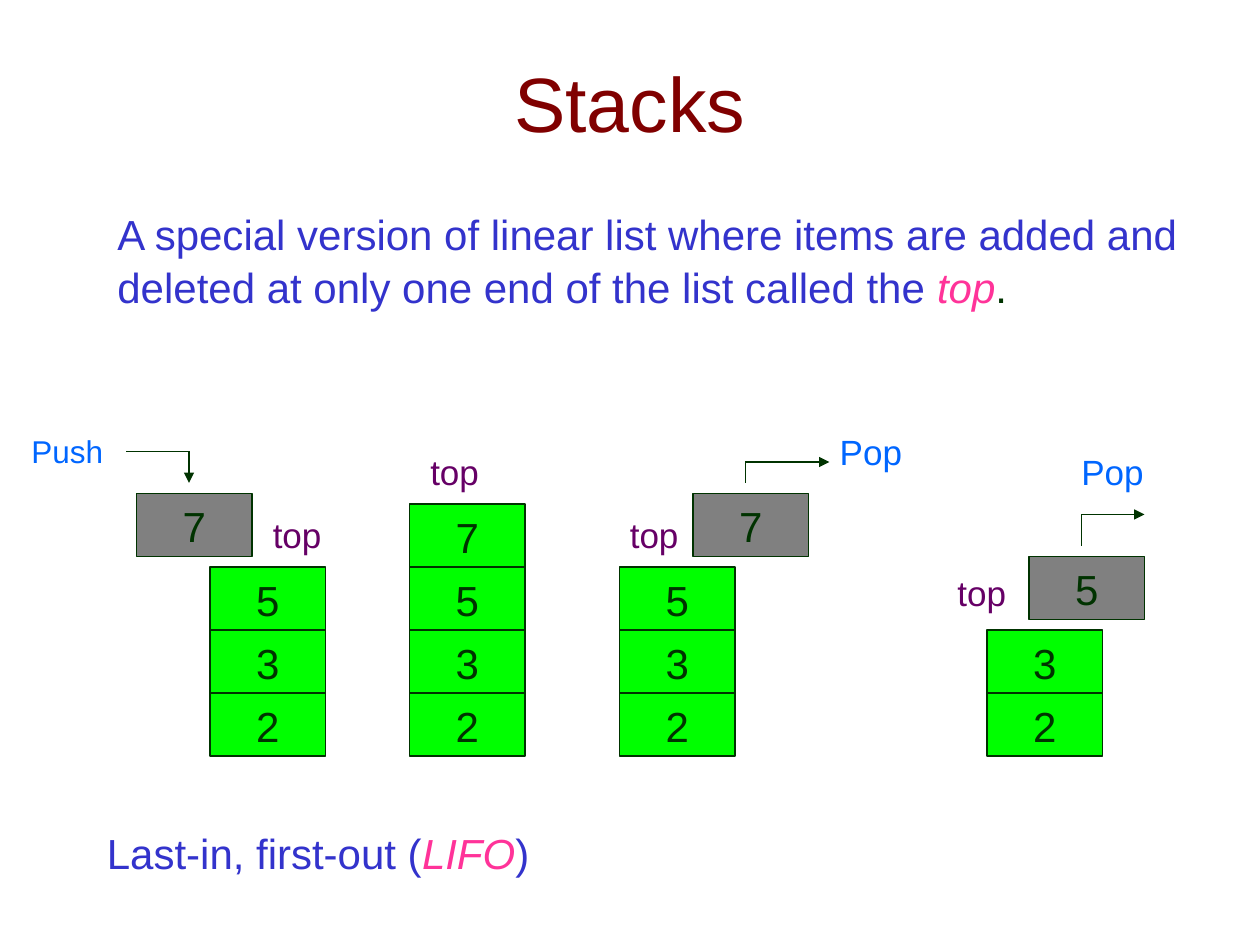
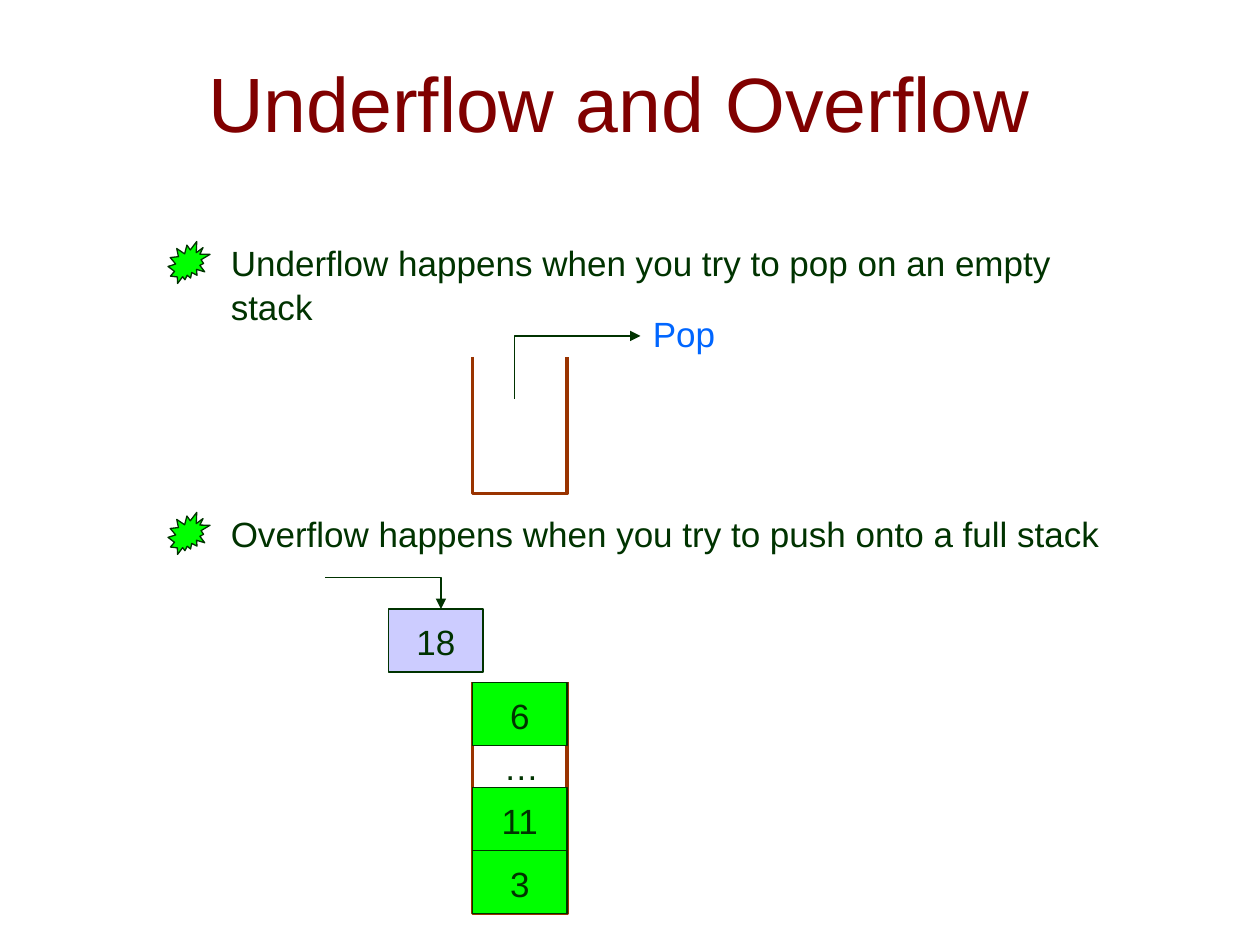
from dataclasses import dataclass

from lxml.etree import SubElement
from pptx import Presentation
from pptx.dml.color import RGBColor
from pptx.enum.shapes import MSO_CONNECTOR, MSO_SHAPE
from pptx.enum.text import MSO_ANCHOR, PP_ALIGN
from pptx.oxml.ns import qn
from pptx.util import Emu, Pt

PX = 7620  # EMU per px, 120 px to the inch
TITLE_ONLY = 5
CELL_H = 60


@dataclass(frozen=True)
class Theme:
    font: str = "Arial"
    title: str = "800000"
    statement: str = "3333CC"
    emphasis: str = "FF3399"
    ink: str = "003300"
    operation: str = "0066FF"
    top: str = "660066"
    stored: str = "00FF00"
    removed: str = "808080"
    rejected: str = "CCCCFF"
    container: str = "993300"
    title_size: int = 44
    large: int = 24
    medium: int = 20
    small: int = 18
    thin: float = 0.75
    thick: float = 2
    spacing: float = 1.05


THEME = Theme()


def rgb(value):
    return RGBColor.from_string(value)


def px(*lengths):
    return [Emu(n * PX) for n in lengths]


def format_paragraph(p, size, color, align=PP_ALIGN.LEFT):
    p.alignment = align
    p.line_spacing = THEME.spacing
    for r in p.runs:
        r.font.name, r.font.size = THEME.font, Pt(size)
        r.font.color.rgb = rgb(color)


def add_title(s, text):
    title = s.shapes.title
    title.left, title.top, title.width, title.height = px(90, 20, 1020, 150)
    tf = title.text_frame
    tf.text = text
    tf.vertical_anchor = MSO_ANCHOR.MIDDLE
    format_paragraph(tf.paragraphs[0], THEME.title_size, THEME.title, PP_ALIGN.CENTER)


def add_text(s, text, box, size=THEME.medium, color=THEME.ink, wrap=False):
    tf = s.shapes.add_textbox(*px(*box)).text_frame
    tf.word_wrap = wrap
    tf.text = text
    for p in tf.paragraphs:
        format_paragraph(p, size, color)
    return tf


def add_runs(p, *parts):
    """Continue a statement with (text, colour, italic) runs."""
    for text, color, italic in parts:
        r = p.add_run()
        r.text = text
        r.font.name, r.font.size, r.font.italic = THEME.font, Pt(THEME.large), italic
        r.font.color.rgb = rgb(color)


def add_pop(s, x, y):
    add_text(s, "Pop", (x, y, 84, 52), color=THEME.operation)


def add_top(s, x, y):
    add_text(s, "top", (x, y, 71, 52), color=THEME.top)


def add_shape(s, kind, box, fill):
    sp = s.shapes.add_shape(kind, *px(*box))
    sp.shadow.inherit = False
    sp.fill.solid()
    sp.fill.fore_color.rgb = rgb(fill)
    style_line(sp.line)
    return sp


def add_cell(s, text, x, y, width, size, fill=THEME.stored):
    sp = add_shape(s, MSO_SHAPE.RECTANGLE, (x, y, width, CELL_H), fill)
    tf = sp.text_frame
    tf.word_wrap = False
    tf.vertical_anchor = MSO_ANCHOR.MIDDLE
    tf.text = text
    format_paragraph(tf.paragraphs[0], size, THEME.ink, PP_ALIGN.CENTER)


def add_stack(s, items, x, bottom, width, size):
    """Pile the items, given from bottom to top."""
    for level, item in enumerate(items, 1):
        add_cell(s, item, x, bottom - level * CELL_H, width, size)


def style_line(line, color=THEME.ink, width=THEME.thin):
    line.color.rgb = rgb(color)
    line.width = Pt(width)


def add_arrowhead(line_shape):
    ln = line_shape.line._get_or_add_ln()
    SubElement(ln, qn("a:tailEnd"), type="triangle")


def add_bent_arrow(s, *points):
    for start, end in zip(points, points[1:]):
        line = s.shapes.add_connector(MSO_CONNECTOR.STRAIGHT, *px(*start, *end))
        style_line(line.line)
        SubElement(line._element.spPr, qn("a:effectLst"))
    add_arrowhead(line)


def add_polyline(s, points, color=THEME.ink, width=THEME.thin):
    builder = s.shapes.build_freeform(*points[0], scale=PX)
    builder.add_line_segments(points[1:], close=False)
    sp = builder.convert_to_shape()
    sp.shadow.inherit = False
    sp.fill.background()
    style_line(sp.line, color, width)
    return sp


def add_container(s, left, top, right, bottom):
    add_polyline(s, [(left, top), (left, bottom), (right, bottom), (right, top)],
                 THEME.container, THEME.thick)


def add_point(s, text, y):
    add_shape(s, MSO_SHAPE.EXPLOSION2, (160, y + 8, 40, 40), THEME.stored)
    add_text(s, text, (208, y, 864, 90), wrap=True)


def new_slide(prs, title):
    s = prs.slides.add_slide(prs.slide_layouts[TITLE_ONLY])
    add_title(s, title)
    return s


def build_stacks(prs):
    s = new_slide(prs, "Stacks")
    tf = add_text(s, "A special version of linear list where items are added and\n"
                     "deleted at only one end of the list called the ",
                  (100, 190, 1048, 108), THEME.large, THEME.statement, wrap=True)
    add_runs(tf.paragraphs[1], ("top", THEME.emphasis, True), (".", THEME.ink, False))

    for x, items in ((200, "235"), (390, "2357"), (590, "235"), (940, "23")):
        add_stack(s, items, x, 720, 110, THEME.large)
    for item, x, y in (("7", 130, 470), ("7", 660, 470), ("5", 980, 530)):
        add_cell(s, item, x, y, 110, THEME.large, THEME.removed)
    for x, y in ((248, 481), (398, 421), (588, 481), (900, 536)):
        add_top(s, x, y)

    add_text(s, "Push", (18, 404, 92, 48), THEME.small, THEME.operation)
    add_bent_arrow(s, (120, 430), (180, 430), (180, 460))
    add_pop(s, 788, 402)
    add_bent_arrow(s, (710, 460), (710, 440), (790, 440))
    add_pop(s, 1018, 421)
    add_bent_arrow(s, (1030, 520), (1030, 490), (1090, 490))

    tf = add_text(s, "Last-in, first-out (", (90, 780, 426, 60),
                  THEME.large, THEME.statement)
    add_runs(tf.paragraphs[0], ("LIFO", THEME.emphasis, True),
             (")", THEME.statement, False))


def build_limits(prs):
    s = new_slide(prs, "Underflow and Overflow ")
    add_point(s, "Underflow happens when you try to pop on an empty stack", 222)
    add_container(s, 450, 340, 540, 470)
    add_arrowhead(add_polyline(s, [(490, 380), (490, 320), (610, 320)]))
    add_pop(s, 610, 290)

    add_point(s, "Overflow happens when you try to push onto a full stack", 480)
    add_container(s, 450, 650, 540, 870)
    add_stack(s, ("3", "11"), 450, 870, 90, THEME.medium)
    add_cell(s, "6", 450, 650, 90, THEME.medium)
    add_text(s, "…", (468, 702, 58, 52))
    add_cell(s, "18", 370, 580, 90, THEME.medium, THEME.rejected)
    add_arrowhead(add_polyline(s, [(310, 550), (420, 550), (420, 580)]))


def main():
    prs = Presentation()
    prs.slide_width, prs.slide_height = px(1200, 900)
    build_stacks(prs)
    build_limits(prs)
    prs.save("out.pptx")


if __name__ == "__main__":
    main()
